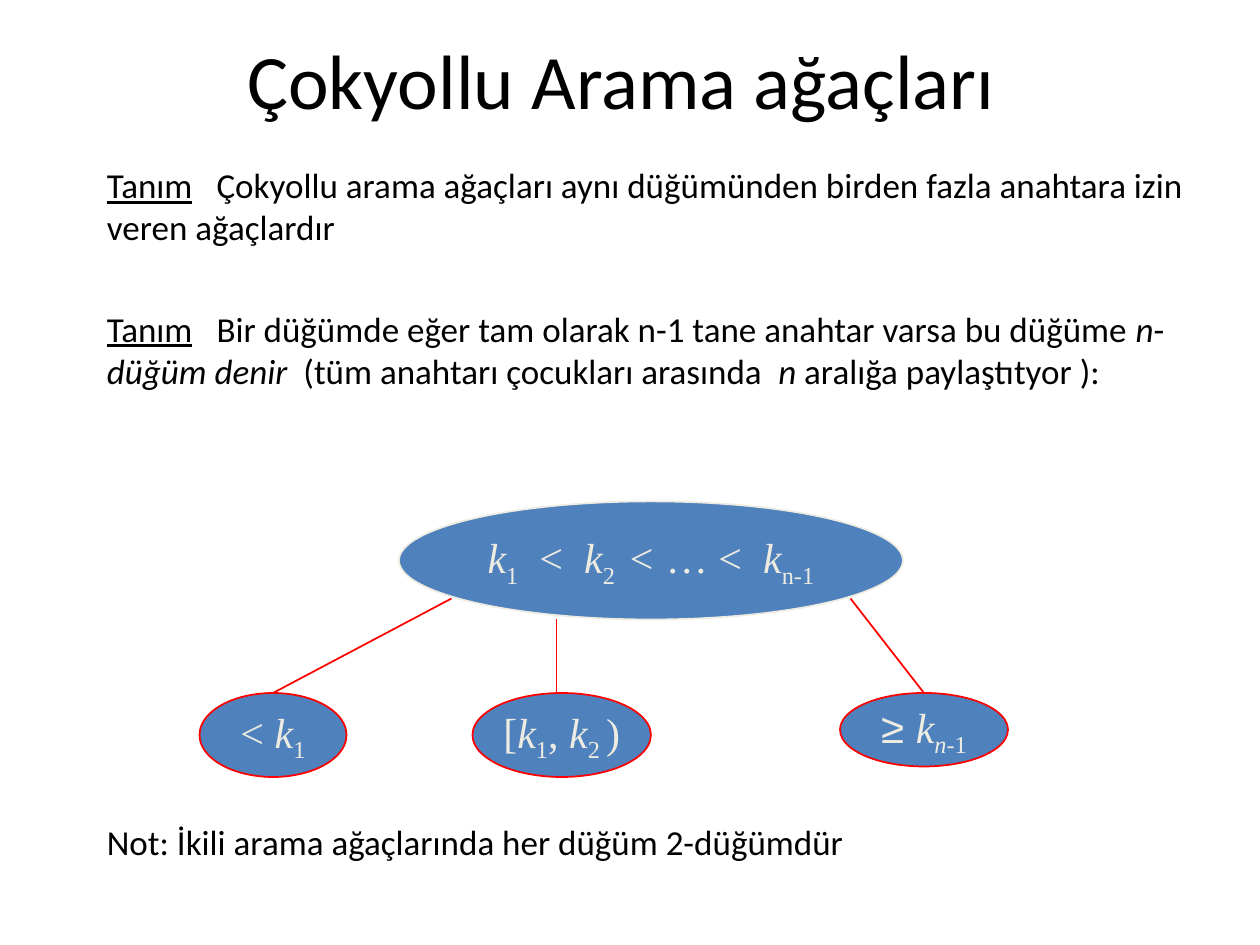
from lxml.etree import SubElement
from pptx import Presentation
from pptx.dml.color import RGBColor
from pptx.enum.shapes import MSO_CONNECTOR, MSO_SHAPE
from pptx.enum.text import MSO_ANCHOR, PP_ALIGN
from pptx.oxml.ns import qn
from pptx.util import Inches, Pt

BLACK = RGBColor(0x00, 0x00, 0x00)
BLUE = RGBColor(0x4F, 0x81, 0xBD)
CREAM = RGBColor(0xEE, 0xEC, 0xE1)
RED = RGBColor(0xFF, 0x00, 0x00)

COLUMNS, ROWS = 120, 90
TERM_GAP = Inches(0.87)


class TreeSlide:
    text_font = "Calibri"
    key_font = "Times New Roman"
    symbol_font = "Arial"
    line_width = Pt(1)

    def __init__(self, deck):
        self.slide = deck.slides.add_slide(deck.slide_layouts[6])
        self.column = deck.slide_width / COLUMNS
        self.row = deck.slide_height / ROWS

    def place(self, *cells):
        steps = (self.column, self.row) * 2
        return [round(cell * step) for cell, step in zip(cells, steps)]

    def add_runs(self, paragraph, runs, size, font, color):
        for wording, marks in runs:
            run = paragraph.add_run()
            run.text = wording
            run.font.size = Pt(size)
            run.font.name = self.symbol_font if "a" in marks else font
            run.font.color.rgb = color
            run.font.italic = "i" in marks
            run.font.underline = "u" in marks
            if "s" in marks:
                run.font._element.set("baseline", "-25000")

    def frame(self, cells):
        frame = self.slide.shapes.add_textbox(*self.place(*cells)).text_frame
        frame.word_wrap = True
        return frame

    def title(self, cells, wording):
        frame = self.frame(cells)
        frame.vertical_anchor = MSO_ANCHOR.MIDDLE
        heading = frame.paragraphs[0]
        heading.alignment = PP_ALIGN.CENTER
        self.add_runs(heading, [(wording, "")], 44, self.text_font, BLACK)

    def body(self, cells, entries):
        frame = self.frame(cells)
        for number, (space, runs) in enumerate(entries):
            entry = frame.add_paragraph() if number else frame.paragraphs[0]
            entry.space_before = Pt(space)
            stops = SubElement(entry._p.get_or_add_pPr(), qn("a:tabLst"))
            SubElement(stops, qn("a:tab"), pos=str(TERM_GAP), algn="l")
            self.add_runs(entry, runs, 20, self.text_font, BLACK)

    def node(self, cells, runs, outline=RED):
        node = self.slide.shapes.add_shape(MSO_SHAPE.OVAL, *self.place(*cells))
        node.shadow.inherit = False
        node.fill.solid()
        node.fill.fore_color.rgb = BLUE
        node.line.color.rgb = outline
        node.line.width = self.line_width
        frame = node.text_frame
        frame.word_wrap = False
        frame.vertical_anchor = MSO_ANCHOR.MIDDLE
        keys = frame.paragraphs[0]
        keys.alignment = PP_ALIGN.CENTER
        self.add_runs(keys, runs, 24, self.key_font, CREAM)
        return node

    def branch(self, start, end, child=None):
        branch = self.slide.shapes.add_connector(
            MSO_CONNECTOR.STRAIGHT, *self.place(*start, *end))
        branch.line.color.rgb = RED
        branch.line.width = self.line_width
        SubElement(branch._element.spPr, qn("a:effectLst"))
        if child is not None:
            branch.end_connect(child, 0)


def main():
    deck = Presentation()
    deck.slide_width, deck.slide_height = Inches(10), Inches(7.5)
    tree = TreeSlide(deck)

    tree.title((9, 2, 102, 11), "Çokyollu Arama ağaçları ")
    tree.body((9, 15, 111, 75), [
        (5, [("Tanım", "u"),
             ("\tÇokyollu arama ağaçları aynı düğümünden birden fazla "
              "anahtara izin veren ağaçlardır", "")]),
        (34, [("Tanım", "u"),
              ("\tBir düğümde eğer tam olarak n-1 tane anahtar varsa "
               "bu düğüme ", ""),
              ("n", "i"), ("-", ""), ("düğüm denir", "i"),
              ("  (tüm anahtarı çocukları arasında  ", ""),
              ("n ", "i"), ("aralığa paylaştıtyor ):", "")]),
        (245, [("Not: İkili arama ağaçlarında her düğüm 2-düğümdür", "")]),
    ])

    tree.node((38, 47.75, 48, 11.25), [
        ("k", "i"), ("1", "s"), ("  <  ", ""), ("k", "i"), ("2  ", "s"),
        ("< ", "i"), ("… <  ", ""), ("k", "i"), ("n-1", "s")], CREAM)
    smaller = tree.node((19, 66, 14, 8), [
        ("< ", ""), ("k", "i"), ("1", "s")])
    tree.node((45, 66, 17, 8), [
        ("[", ""), ("k", "i"), ("1", "s"), (", ", ""),
        ("k", "i"), ("2 ", "s"), (")", "")])
    larger = tree.node((80, 66, 16, 7), [
        ("≥ ", "a"), ("k", "i"), ("n-", "is"), ("1", "s")])

    tree.branch((43, 57), (26, 66), smaller)
    tree.branch((53, 59), (53, 66))
    tree.branch((81, 57), (88, 66), larger)

    deck.save("out.pptx")


if __name__ == "__main__":
    main()
